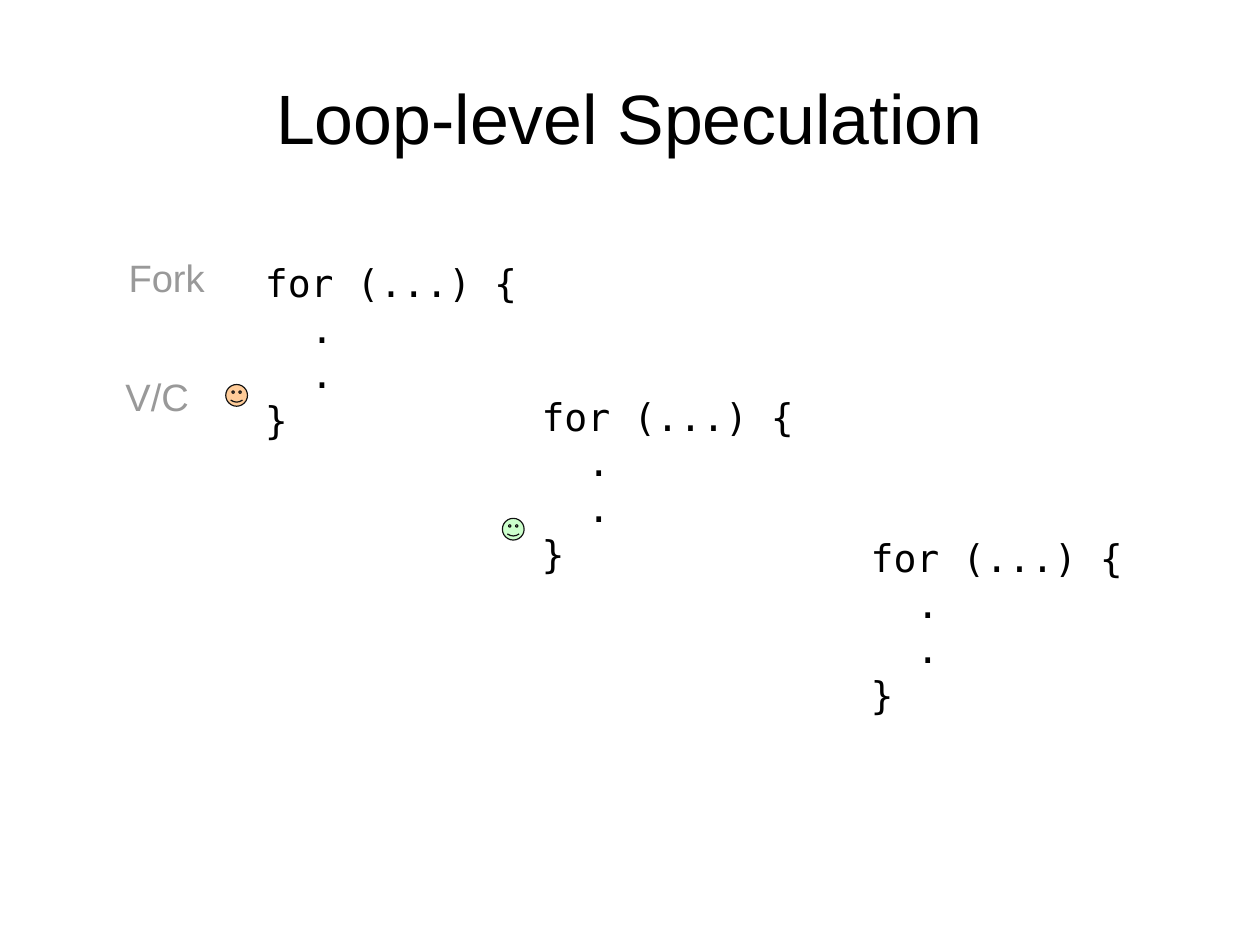
import pptx
import pptx.dml.color
import pptx.enum.shapes
import pptx.enum.text
import pptx.util

Pt = pptx.util.Pt
LOOP_LINES = ["for (...) {", "  .", "  .", "}"]


def colour(hex_value):
    """Turn a hex string into a colour."""
    return pptx.dml.color.RGBColor.from_string(hex_value)


def add_text(slide, box, lines, font, size, hex_value, inset=(7.2, 3.6)):
    """Place left-aligned lines of text in a box and return its text frame."""
    frame = slide.shapes.add_textbox(*map(Pt, box)).text_frame
    frame.word_wrap = True
    frame.margin_left = frame.margin_right = Pt(inset[0])
    frame.margin_top = frame.margin_bottom = Pt(inset[1])
    for index, line in enumerate(lines):
        paragraph = frame.add_paragraph() if index else frame.paragraphs[0]
        run = paragraph.add_run()
        run.text = line
        run.font.name = font
        run.font.size = Pt(size)
        run.font.color.rgb = colour(hex_value)
    return frame


def add_title(slide, box, title):
    """Centre the slide title in its box."""
    frame = add_text(slide, box, [title], "Arial", 44, "000000", (0, 0))
    frame.vertical_anchor = pptx.enum.text.MSO_ANCHOR.MIDDLE
    frame.paragraphs[0].alignment = pptx.enum.text.PP_ALIGN.CENTER


def add_loop(slide, box, face_fill=None):
    """Write one loop iteration, with a face beside its end if it has a colour."""
    add_text(slide, box, LOOP_LINES, "DejaVu Sans Mono", 24, "000000")
    if face_fill:
        left, top = box[:2]
        face = slide.shapes.add_shape(
            pptx.enum.shapes.MSO_SHAPE.SMILEY_FACE,
            Pt(left - 17.6), Pt(top + 82.4), Pt(13.7), Pt(13.7))
        face.shadow.inherit = False
        face.fill.solid()
        face.fill.fore_color.rgb = colour(face_fill)
        face.line.color.rgb = colour("111111")
        face.line.width = Pt(0)


def add_stages(slide, box, stages):
    """Label the stages of the first iteration down the left side."""
    left, top, width, height = box
    for name, shift_x, shift_y in stages:
        label = (left + shift_x, top + shift_y, width, height)
        add_text(slide, label, [name], "Arial", 24, "999999")


def main():
    """Build the slide and save it."""
    deck = pptx.Presentation()
    deck.slide_width, deck.slide_height = Pt(793.75), Pt(595.25)
    slide = deck.slides.add_slide(deck.slide_layouts[6])
    add_title(slide, (39.6, 23.8, 714.2, 99.4), "Loop-level Speculation")
    for left, top, face_fill in [
        (159.8, 159.8, "FFCC99"),
        (334.1, 244.1, "CCFFCC"),
        (541.4, 333, None),
    ]:
        add_loop(slide, (left, top, 207.4, 167), face_fill)
    add_stages(slide, (73.9, 156.6, 64, 34.4), [("Fork", 0, 0), ("V/C", -1.9, 75.2)])
    deck.save("out.pptx")


if __name__ == "__main__":
    main()
